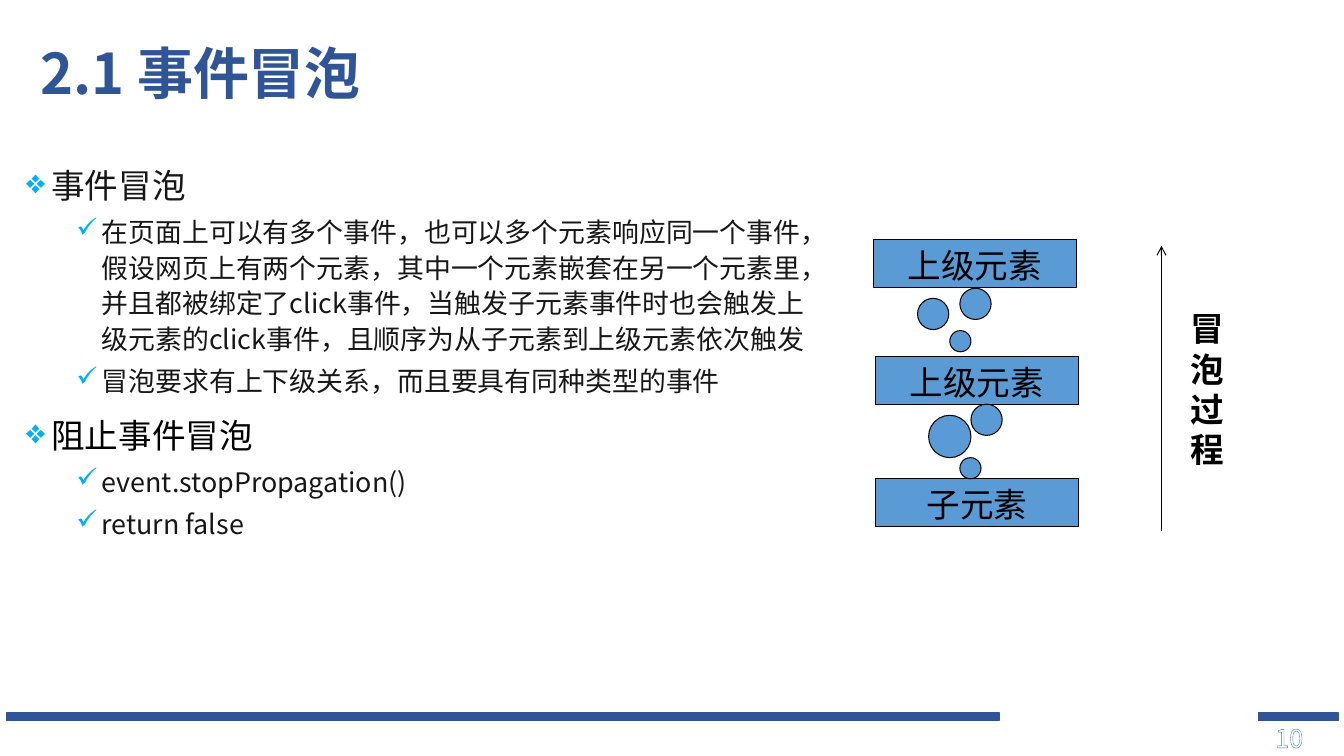
"""Build the slide on event bubbling."""
from lxml.etree import Element, SubElement as Sub
from pptx import Presentation
from pptx.dml.color import RGBColor
from pptx.enum.dml import MSO_PATTERN
from pptx.enum.shapes import MSO_CONNECTOR as Line, MSO_SHAPE as Kind
from pptx.enum.text import MSO_ANCHOR as Anchor, PP_ALIGN as Align
from pptx.oxml.ns import qn
from pptx.util import Inches, Pt

NOTO, LATO = "Noto Sans CJK SC", "Lato"
NAVY, BLUE, CYAN, BLACK, INK = "2F5597", "5B9BD5", "00B0F0", "000000", "181717"
rgb = RGBColor.from_string

deck = Presentation()
deck.slide_width, deck.slide_height = Inches(13.33), Inches(7.5)
slide = deck.slides.add_slide(deck.slide_layouts[6])
shapes = slide.shapes


def draw(kind, box, fill, edge, width):
    shape = shapes.add_shape(kind, *map(Inches, box))
    shape.shadow.inherit = False
    shape.fill.solid()
    shape.fill.fore_color.rgb = rgb(fill)
    shape.line.color.rgb = rgb(edge)
    shape.line.width = Pt(width)
    return shape


def write(para, text, size, face, color, bold=False):
    run = para.add_run()
    run.text = text
    font = run.font
    font.size, font.name, font.bold = Pt(size), face, bold
    font.color.rgb = rgb(color)
    Sub(font._element, qn("a:ea"), typeface=face)
    return font


for left, width in ((0.07, 9.84), (12.48, 0.79)):
    draw(Kind.RECTANGLE, (left, 7.07, width, 0.08), NAVY, NAVY, 1)

page = shapes.add_textbox(*map(Inches, (12.55, 7.12, 0.72, 0.4))).text_frame
page.word_wrap = True
page.paragraphs[0].line_spacing = Pt(21.6)
font = write(page.paragraphs[0], "10", 18, NOTO, "8FAADC")
font.fill.patterned()
font.fill.pattern = MSO_PATTERN.LIGHT_DOWNWARD_DIAGONAL
font.fill.fore_color.rgb = rgb("8FAADC")
font.fill.back_color.rgb = rgb("FFFFFF")
edge = Element(qn("a:ln"), w=str(Pt(1)))
Sub(Sub(edge, qn("a:solidFill")), qn("a:srgbClr"), val="4472C4")
font._element.insert(0, edge)

points = [
    (0, "事件冒泡", INK),
    (1, "在页面上可以有多个事件，也可以多个元素响应同一个事件，"
        "假设网页上有两个元素，其中一个元素嵌套在另一个元素里，"
        "并且都被绑定了click事件，当触发子元素事件时也会触发上"
        "级元素的click事件，且顺序为从子元素到上级元素依次触发", INK),
    (1, "冒泡要求有上下级关系，而且要具有同种类型的事件", INK),
    (0, "阻止事件冒泡", BLACK),
    (1, "event.stopPropagation()", INK),
    (1, "return false", INK),
]
body = shapes.add_textbox(*map(Inches, (0.16, 1.55, 8.09, 3.98))).text_frame
body.word_wrap = True
for i, (level, text, color) in enumerate(points):
    para = body.add_paragraph() if i else body.paragraphs[0]
    size, gap, mark = ((24, 10, "❖"), (19.2, 5, "✓"))[level]
    para.level = level
    para.line_spacing = Pt(size * 1.32)
    para.space_before = Pt(gap)
    props = para._p.get_or_add_pPr()
    props.set("marL", str(Inches(0.25 + level / 2)))
    props.set("indent", str(Inches(-0.25)))
    Sub(Sub(props, qn("a:buClr")), qn("a:srgbClr"), val=CYAN)
    Sub(props, qn("a:buChar"), char=mark)
    write(para, text, size, NOTO, color)

title = shapes.add_textbox(*map(Inches, (0.3, 0.03, 11.5, 1.45))).text_frame
title.word_wrap = True
title.vertical_anchor = Anchor.MIDDLE
title.paragraphs[0].line_spacing = 0.9
write(title.paragraphs[0], "2.1 事件冒泡", 40, NOTO, NAVY, True)

for left, top, text in ((8.66, 2.38, "上级元素"), (8.68, 3.54, "上级元素"),
                        (8.68, 4.75, "子元素")):
    box = draw(Kind.RECTANGLE, (left, top, 2.02, 0.47), BLUE, BLACK, 0.75)
    frame = box.text_frame
    frame.vertical_anchor = Anchor.TOP
    frame.paragraphs[0].alignment = Align.CENTER
    write(frame.paragraphs[0], text, 24, LATO, BLACK)

arrow = shapes.add_connector(Line.STRAIGHT, *map(Inches, (11.52, 5.27, 11.52, 2.44)))
arrow.line.color.rgb = rgb(BLACK)
arrow.line.width = Pt(0.75)
Sub(arrow.line._get_or_add_ln(), qn("a:tailEnd"), type="arrow")
Sub(arrow._element.spPr, qn("a:effectLst"))

for left, top, size in ((9.1, 2.96, 0.31), (9.42, 3.28, 0.21), (9.52, 2.86, 0.31),
                        (9.52, 4.54, 0.21), (9.21, 4.12, 0.42), (9.63, 4.01, 0.31)):
    draw(Kind.OVAL, (left, top, size, size), BLUE, BLACK, 0.75)

label = shapes.add_textbox(*map(Inches, (11.71, 3.01, 0.53, 1.7))).text_frame
label.word_wrap = False
for i, sign in enumerate("冒泡过程"):
    para = label.add_paragraph() if i else label.paragraphs[0]
    write(para, sign, 24, LATO, BLACK, True)

deck.save("out.pptx")
